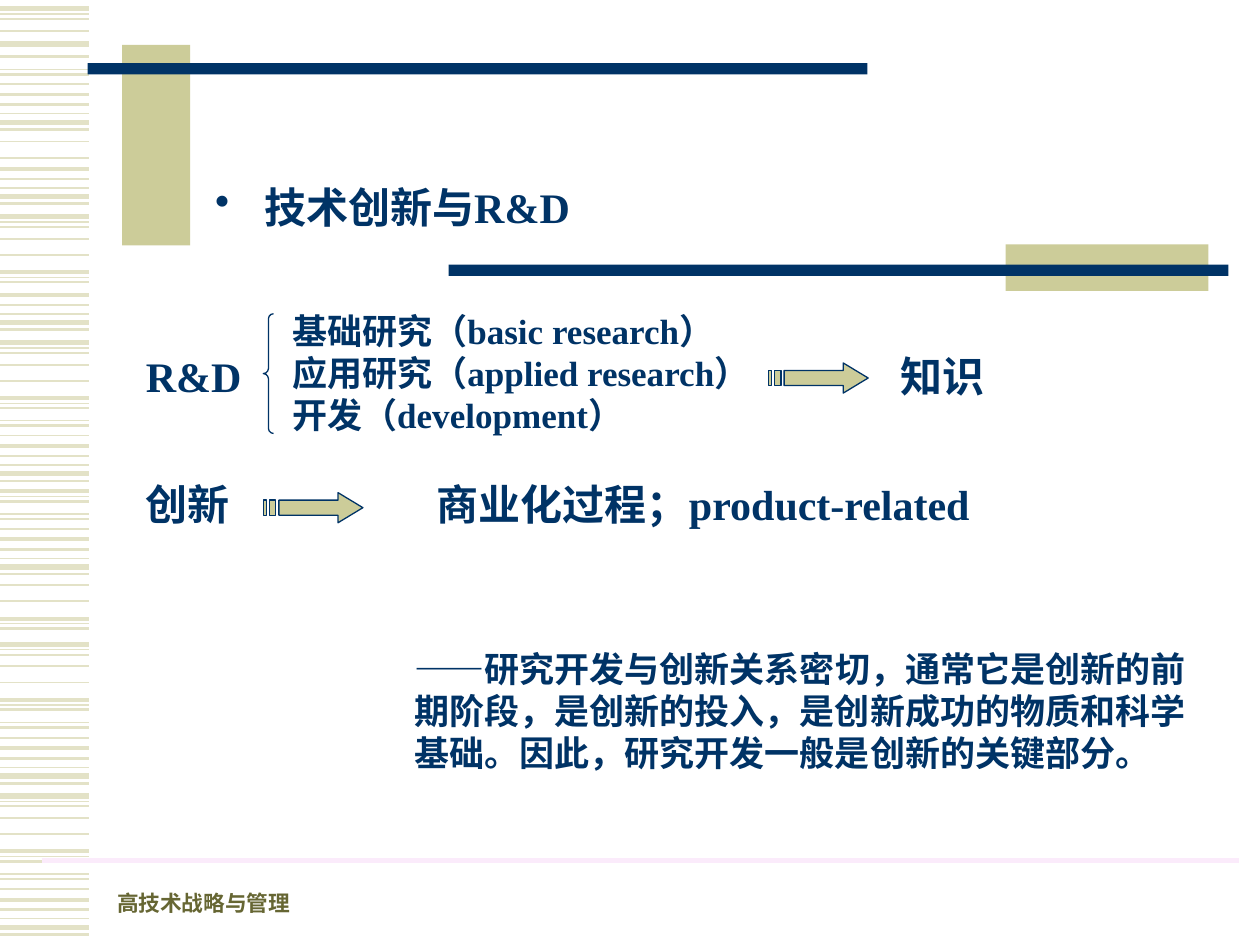
from lxml import etree
from pptx import Presentation
from pptx.dml.color import RGBColor
from pptx.enum.shapes import MSO_CONNECTOR, MSO_SHAPE
from pptx.enum.text import MSO_ANCHOR
from pptx.oxml.ns import qn
from pptx.util import Pt

THEME = {
    "navy": "003366", "khaki": "CCCC99", "stripe": "E3E2C7", "rule": "FBEBFB", "olive": "666633",
    "heading": 24, "body": 20, "footer": 12.4,
    "latin": "Times New Roman", "cjk": "Noto Sans CJK SC",
}

# Stripe motifs: (offset, weight) from each motif's base line
LOWER = [(-21.8, 1), (-15.8, 2.25), (-10.1, 1.5), (-4.9, 0.75), (0, 3), (4.1, 1.5)]
UPPER = [(0, 3), (3.1, 0.75), (5.9, 1), (12.6, 1), (21.8, 1), (31.7, 2.25),
         (34.7, 0.75), (37.4, 1.5), (44.6, 0.75), (47.5, 1.5)]
# (base, motif, first stripe, end stripe)
STRIPE_BANDS = [
    (5, UPPER, 0, 4), (25.2, UPPER, 0, 1), (-5, UPPER, 7, 10),
    (69.8, LOWER, 0, 6), (59, UPPER, 4, 5), (112.3, LOWER, 0, 6),
    (123.8, UPPER, 0, 8), (184.3, LOWER, 1, 6), (195.8, UPPER, 0, 10),
    (270.7, LOWER, 0, 6), (249.1, UPPER, 5, 10), (324, LOWER, 0, 6),
    (321.8, UPPER, 3, 8), (368.2, UPPER, 0, 10), (443.5, LOWER, 0, 6),
    (454.8, UPPER, 0, 10), (529.9, LOWER, 0, 6),
]
STRIPE_WIDTH = 51.1

# (left, top, width, height), colour
BARS = [
    ((69.8, 25.7, 38.9, 114.5), "khaki"), ((50, 36, 445.7, 6.5), "navy"),
    ((574.6, 139.7, 115.9, 26.6), "khaki"), ((256.3, 151.2, 445.7, 6.5), "navy"),
]

# box, paragraphs of (text, font) runs, size, extra format
TEXTS = [
    ((59.8, 502.6, 187.2, 24.5), [[("高技术战略与管理", "latin")]], "footer",
     {"colour": "olive", "anchor": MSO_ANCHOR.BOTTOM}),
    ((115.9, 100.1, 249.8, 36), [[("技术创新与R&D", "latin")]], "heading",
     {"indent": 28, "bullet": "•"}),
    ((87.8, 173.5, 385.2, 79.2),
     [[("基础研究（basic research）", "latin")],
      [("应用研究（applied research）", "latin")],
      [("开发（development）", "latin")]], "body", {"indent": 72}),
    ((206.6, 270, 414, 36),
     [[("商业化过程；", "cjk"), ("product-related", "latin")]], "heading", {"indent": 36}),
    ((229.7, 366.5, 465.1, 79.2),
     [[("——研究开发与创新关系密切，通常它是创新的前期阶段，是创新的投入，"
        "是创新成功的物质和科学基础。因此，研究开发一般是创新的关键部分。", "latin")]], "body", {}),
    ((76.3, 196.6, 86.4, 36), [[("R&D", "latin")]], "heading", {}),
    ((507.6, 196.6, 90.7, 36), [[("知识", "latin")]], "heading", {}),
    ((76.3, 270, 85, 36), [[("创新", "latin")]], "heading", {}),
]

BRACE = (150.5, 179.3, 5.8, 68.4)
ARROW_ORIGINS = [(439.2, 207.4), (150.5, 281.5)]
ARROW_SIZE = (56.9, 17.2)
# Arrow outline on a grid of 32 columns by 4 rows
ARROW_GRID = (32, 4)
ARROW_PARTS = [
    [(24, 0), (24, 1), (5, 1), (5, 3), (24, 3), (24, 4), (32, 2)],
    [(2, 1), (2, 3), (4, 3), (4, 1)],
    [(0, 1), (0, 3), (1, 3), (1, 1)],
]


def rgb(name):
    return RGBColor.from_string(THEME[name])


def add_line(s, start, end, colour, weight):
    line = s.shapes.add_connector(MSO_CONNECTOR.STRAIGHT, *map(Pt, start + end))
    line.line.color.rgb = rgb(colour)
    line.line.width = Pt(weight)
    etree.SubElement(line._element.spPr, qn("a:effectLst"))


def style(sp, fill=None, line=None):
    sp.shadow.inherit = False
    for part, colour in ((sp.fill, fill), (sp.line.fill, line)):
        if colour:
            part.solid()
            part.fore_color.rgb = rgb(colour)
        else:
            part.background()
    if line:
        sp.line.width = Pt(0.75)


def add_run(p, text, font, size, colour):
    r = p.add_run()
    r.text = text
    formats = {"name": THEME[font], "size": Pt(THEME[size]), "bold": True}
    for key, value in formats.items():
        setattr(r.font, key, value)
    r.font.color.rgb = rgb(colour)
    etree.SubElement(r._r.get_or_add_rPr(), qn("a:ea"), typeface=THEME["cjk"])


def add_text(s, box, paragraphs, size, extra):
    tf = s.shapes.add_textbox(*map(Pt, box)).text_frame
    tf.word_wrap = True
    tf.vertical_anchor = extra.get("anchor", MSO_ANCHOR.TOP)
    indent, bullet = extra.get("indent", 0), extra.get("bullet")
    for i, runs in enumerate(paragraphs):
        p = tf.add_paragraph() if i else tf.paragraphs[0]
        pPr = p._p.get_or_add_pPr()
        pPr.set("marL", str(Pt(indent)))
        pPr.set("indent", str(-Pt(indent) if bullet else 0))
        if bullet:
            etree.SubElement(pPr, qn("a:buChar"), char=bullet)
        for text, font in runs:
            add_run(p, text, font, size, extra.get("colour", "navy"))


def add_striped_arrow(s, origin):
    scale = tuple(Pt(size) / cells for size, cells in zip(ARROW_SIZE, ARROW_GRID))
    first, *others = ARROW_PARTS
    outline = s.shapes.build_freeform(*first[0], scale=scale)
    outline.add_line_segments(first[1:], close=True)
    for part in others:
        outline.move_to(*part[0])
        outline.add_line_segments(part[1:], close=True)
    style(outline.convert_to_shape(*map(Pt, origin)), "khaki", "navy")


def main():
    prs = Presentation()
    prs.slide_width, prs.slide_height = Pt(720), Pt(540)
    s = prs.slides.add_slide(prs.slide_layouts[6])

    for base, motif, first, end in STRIPE_BANDS:
        for offset, weight in motif[first:end]:
            y = base + offset
            add_line(s, (0, y), (STRIPE_WIDTH, y), "stripe", weight)
    for box, colour in BARS:
        style(s.shapes.add_shape(MSO_SHAPE.RECTANGLE, *map(Pt, box)), colour)
    add_line(s, (23.8, 491.8), (707.8, 491.8), "rule", 3)

    for text in TEXTS:
        add_text(s, *text)
    brace = s.shapes.add_shape(MSO_SHAPE.LEFT_BRACE, *map(Pt, BRACE))
    brace.adjustments[0] = 0.5
    style(brace, line="navy")
    for origin in ARROW_ORIGINS:
        add_striped_arrow(s, origin)

    prs.save("out.pptx")


if __name__ == "__main__":
    main()
